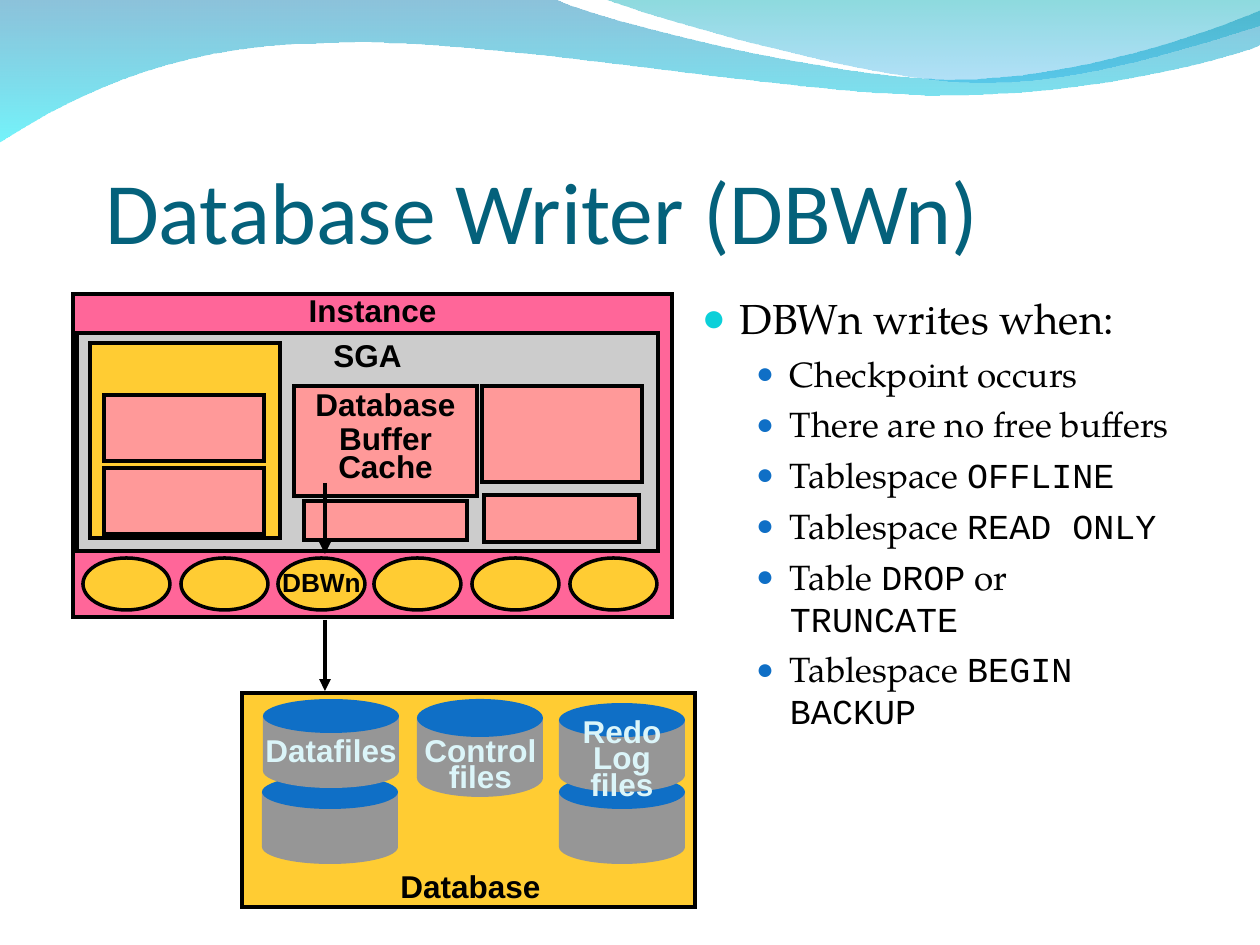
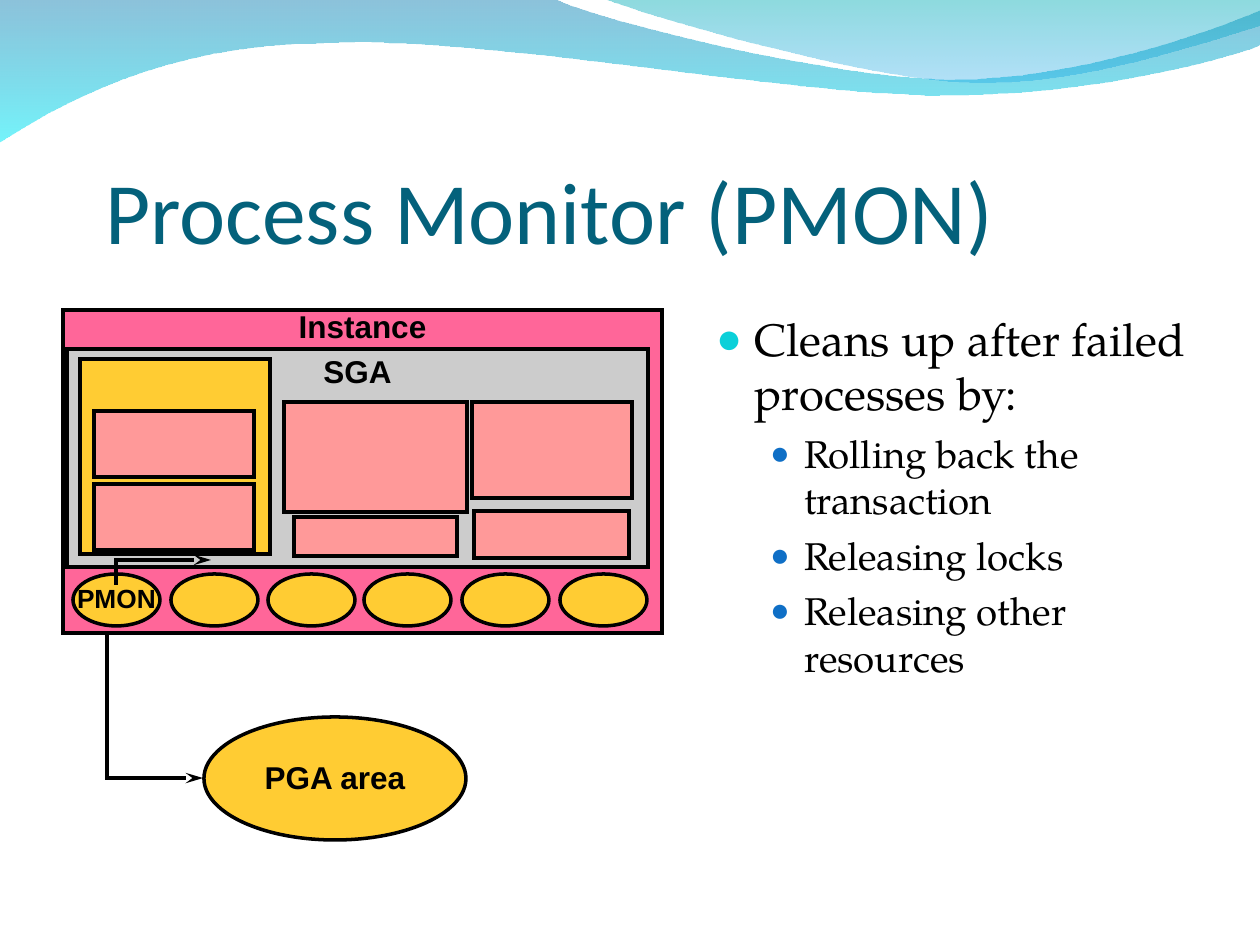
from lxml.etree import SubElement
from pptx import Presentation
from pptx.dml.color import RGBColor
from pptx.enum.shapes import MSO_CONNECTOR as CONN, MSO_SHAPE as SHAPE
from pptx.enum.text import MSO_ANCHOR as ANCHOR, PP_ALIGN as ALIGN
from pptx.oxml.ns import qn
from pptx.util import Emu, Pt

PX = 914400 / 126
BLACK, PINK, SILVER, GOLD, ROSE = "000000", "FF6699", "CCCCCC", "FFCC33", "FF9999"
GRAY, BLUE, AQUA, PALE, TEAL = "969696", "0F6FC6", "0BD0D9", "DBF5F9", "04617B"
SANS, SERIF, TITLE_FONT, CODE_FONT = "Arial", "TeX Gyre Pagella", "Calibri", "Courier New"

WAVES = [
    ([(0, -1), (554, -1),
      (600, 21, 837, 79, 955, 79), (1075, 79, 1207, 33, 1260, 11), (1261, 45),
      (1239, 55, 1096, 96, 940, 95), (784, 95, 481, 35, 324, 43),
      (163, 44, 58, 105, -1, 142)],
     [("0079AF", 45), ("00EBF8", 55)]),
    ([(604, -1), (641, 14, 859, 78, 969, 82), (1079, 87, 1211, 40, 1260, 26), (1260, 0)],
     [("00ADB6", 45), ("009BE5", 30)]),
]

WRITER = {
    "title": "Database Writer (DBWn)",
    "body": (689, 287, 496, 532),
    "sizes": (24, 20),
    "lead": "DBWn writes when:",
    "points": ["Checkpoint occurs", "There are no free buffers", "Tablespace |OFFLINE",
               "Tablespace |READ ONLY", "Table |DROP| or |TRUNCATE",
               "Tablespace |BEGIN BACKUP"],
    "instance": (73, 294),
    "process": (2, "DBWn"),
}
MONITOR = {
    "title": "Process Monitor (PMON)",
    "body": (703, 305, 496, 465),
    "sizes": (26, 22),
    "lead": "Cleans up after failed processes by:",
    "points": ["Rolling back the transaction", "Releasing locks", "Releasing other resources"],
    "instance": (63, 310),
    "process": (0, "PMON"),
}

BUFFER_CACHE = (221, 92, 183, 110)
MEMORY_AREAS = [
    (409, 92, 160, 96, ROSE),
    (17, 49, 190, 195, GOLD),
    (31, 174, 160, 66, ROSE),
    (31, 101, 160, 66, ROSE),
    (231, 207, 163, 39, ROSE),
    (411, 201, 155, 47, ROSE),
]
PROCESS_LEFTS = [10, 108, 205, 301, 399, 497]

FILE_GROUPS = [
    ("Control files", (400, 733, 161, 68), [(417, 699, 126, 98, 38)]),
    ("Datafiles", (247, 733, 168, 42), [(262, 775, 136, 89, 34), (263, 699, 136, 89, 34)]),
    ("Redo Log files", (550, 714, 144, 93), [(559, 775, 126, 89, 34), (559, 703, 126, 89, 34)]),
]
WRITE_ARROWS = [(325, 620, 691), (325, 483, 554)]
CLEANUP_ARROWS = [[(107, 635), (107, 778), (203, 778)], [(116, 585), (116, 560), (211, 560)]]


def emu(*lengths):
    return [Emu(round(n * PX)) for n in lengths]


def rgb(value):
    return RGBColor.from_string(value)


def outline(sp, width=2, arrow=None, length="med"):
    sp.line.color.rgb = rgb(BLACK)
    sp.line.width = Pt(width)
    ln = sp.element.spPr.get_or_add_ln()
    SubElement(ln, qn("a:miter"), lim="800000")
    if arrow:
        SubElement(ln, qn("a:tailEnd"), type=arrow, w="med", len=length)


def style(r, size, font=SANS, color=BLACK, bold=True):
    r.font.size, r.font.name, r.font.bold = Pt(size), font, bold
    r.font.color.rgb = rgb(color)


def frame(sp, insets, anchor=ANCHOR.TOP, wrap=True):
    tf = sp.text_frame
    tf.margin_left, tf.margin_top, tf.margin_right, tf.margin_bottom = emu(*insets)
    tf.vertical_anchor, tf.word_wrap = anchor, wrap
    return tf


def label(sp, text, size=18, color=BLACK, spacing=0.95, before=0,
          insets=(6, 6, 6, 6), anchor=ANCHOR.TOP, wrap=False):
    tf = frame(sp, insets, anchor, wrap)
    tf.text = text
    for p in tf.paragraphs:
        p.alignment, p.line_spacing, p.space_before = ALIGN.CENTER, spacing, Pt(before)
        for r in p.runs:
            style(r, size, color=color)
    return tf


def add_box(s, x, y, w, h, fill, kind=SHAPE.RECTANGLE, lined=True):
    sp = s.shapes.add_shape(kind, *emu(x, y, w, h))
    sp.shadow.inherit = False
    sp.fill.solid()
    sp.fill.fore_color.rgb = rgb(fill)
    if lined:
        outline(sp)
    else:
        sp.line.fill.background()
    return sp


def add_path(s, points, close):
    start, *rest = [emu(*point[-2:]) for point in points]
    builder = s.shapes.build_freeform(*start)
    builder.add_line_segments(rest, close=close)
    sp = builder.convert_to_shape()
    sp.shadow.inherit = False
    return sp


def bend(sp, segments):
    lines = list(sp.element.spPr.iter(qn("a:lnTo")))
    for line, segment in zip(lines, segments[1:]):
        if len(segment) == 6:
            line.tag = qn("a:cubicBezTo")
            for pt in list(line):
                line.remove(pt)
            values = emu(*segment)
            for x, y in zip(values[::2], values[1::2]):
                SubElement(line, qn("a:pt"), x=str(x - sp.left), y=str(y - sp.top))


def add_waves(s):
    for segments, stops in WAVES:
        sp = add_path(s, segments, True)
        bend(sp, segments)
        sp.line.fill.background()
        sp.fill.gradient()
        sp.fill.gradient_angle = 270
        for stop, (color, _) in zip(sp.fill.gradient_stops, stops):
            stop.color.rgb = rgb(color)
        for node, (_, alpha) in zip(sp.element.spPr.iter(qn("a:srgbClr")), stops):
            SubElement(node, qn("a:alpha"), val=str(alpha * 1000))


def add_title(s, text):
    tf = frame(s.shapes.add_textbox(*emu(105, 105, 1092, 157)), (0, 6, 0, 0), ANCHOR.BOTTOM)
    tf.text = text
    style(tf.paragraphs[0].runs[0], 50, TITLE_FONT, TEAL, False)


def bullet(p, color, percent, left, hang):
    pPr = p._p.get_or_add_pPr()
    pPr.set("marL", str(emu(left)[0]))
    pPr.set("indent", str(emu(-hang)[0]))
    SubElement(SubElement(pPr, qn("a:buClr")), qn("a:srgbClr"), val=color)
    SubElement(pPr, qn("a:buSzPct"), val=str(percent * 1000))
    SubElement(pPr, qn("a:buFont"), typeface=SANS)
    SubElement(pPr, qn("a:buChar"), char="●")


def add_body(s, topic):
    tf = frame(s.shapes.add_textbox(*emu(*topic["body"])), (13, 6, 13, 6))
    lead_size, point_size = topic["sizes"]
    for i, text in enumerate([topic["lead"], *topic["points"]]):
        p = tf.add_paragraph() if i else tf.paragraphs[0]
        size = point_size if i else lead_size
        p.space_before = Pt(size / 4)
        bullet(p, *((BLUE, 85, 88, 34) if i else (AQUA, 95, 38, 38)))
        for j, part in enumerate(text.split("|")):
            r = p.add_run()
            r.text = part
            style(r, size, CODE_FONT if j % 2 else SERIF, bold=False)


def add_instance(s, topic):
    left, top = topic["instance"]
    active, name = topic["process"]
    instance = add_box(s, left, top, 599, 323, PINK)
    label(instance, "Instance", insets=(6, 0, 6, 0))
    label(add_box(s, left + 4, top + 39, 581, 218, SILVER), "SGA")
    for x, y, w, h, fill in MEMORY_AREAS:
        add_box(s, left + x, top + y, w, h, fill)
    x, y, w, h = BUFFER_CACHE
    cache = add_box(s, left + x, top + y, w, h, ROSE)
    for i, x in enumerate(PROCESS_LEFTS):
        process = add_box(s, left + x, top + 264, 87, 52, GOLD, SHAPE.OVAL)
        if i == active:
            label(process, name, 15, anchor=ANCHOR.MIDDLE)
    return cache


def add_cylinder(s, x, y, w, h, cap):
    add_box(s, x, y + cap // 2, w, h - cap, GRAY, lined=False)
    add_box(s, x, y, w, cap, BLUE, SHAPE.OVAL, False)
    add_box(s, x, y + h - cap, w, cap, GRAY, SHAPE.OVAL, False)


def add_database(s):
    add_box(s, 242, 693, 453, 214, GOLD)
    for name, place, cylinders in FILE_GROUPS:
        for cylinder in cylinders:
            add_cylinder(s, *cylinder)
        label(s.shapes.add_textbox(*emu(*place)), name, color=PALE, spacing=0.7,
              before=11.2, insets=(14, 8, 14, 8), wrap=True)
    label(s.shapes.add_textbox(*emu(388, 861, 165, 50)), "Database",
          spacing=1, insets=(0, 6, 0, 6))


def add_topic(prs, topic):
    s = prs.slides.add_slide(prs.slide_layouts[6])
    add_waves(s)
    add_title(s, topic["title"])
    add_body(s, topic)
    return s, add_instance(s, topic)


def main():
    prs = Presentation()
    prs.slide_width, prs.slide_height = emu(1260, 945)

    s, cache = add_topic(prs, WRITER)
    tf = label(cache, "Database\nBuffer\vCache", spacing=0.75, anchor=ANCHOR.MIDDLE)
    tf.paragraphs[0].line_spacing = 0.65
    tf.paragraphs[1].space_before = Pt(3.4)
    add_database(s)
    for x, start, end in WRITE_ARROWS:
        arrow = s.shapes.add_connector(CONN.STRAIGHT, *emu(x, start, x, end))
        outline(arrow, 2.25, "triangle")
        SubElement(arrow.element.spPr, qn("a:effectLst"))

    s, _ = add_topic(prs, MONITOR)
    label(add_box(s, 204, 717, 262, 123, GOLD, SHAPE.OVAL), "PGA area", anchor=ANCHOR.MIDDLE)
    for points in CLEANUP_ARROWS:
        arrow = add_path(s, points, False)
        arrow.fill.background()
        outline(arrow, 2, "stealth", "lg")

    prs.save("out.pptx")


if __name__ == "__main__":
    main()
